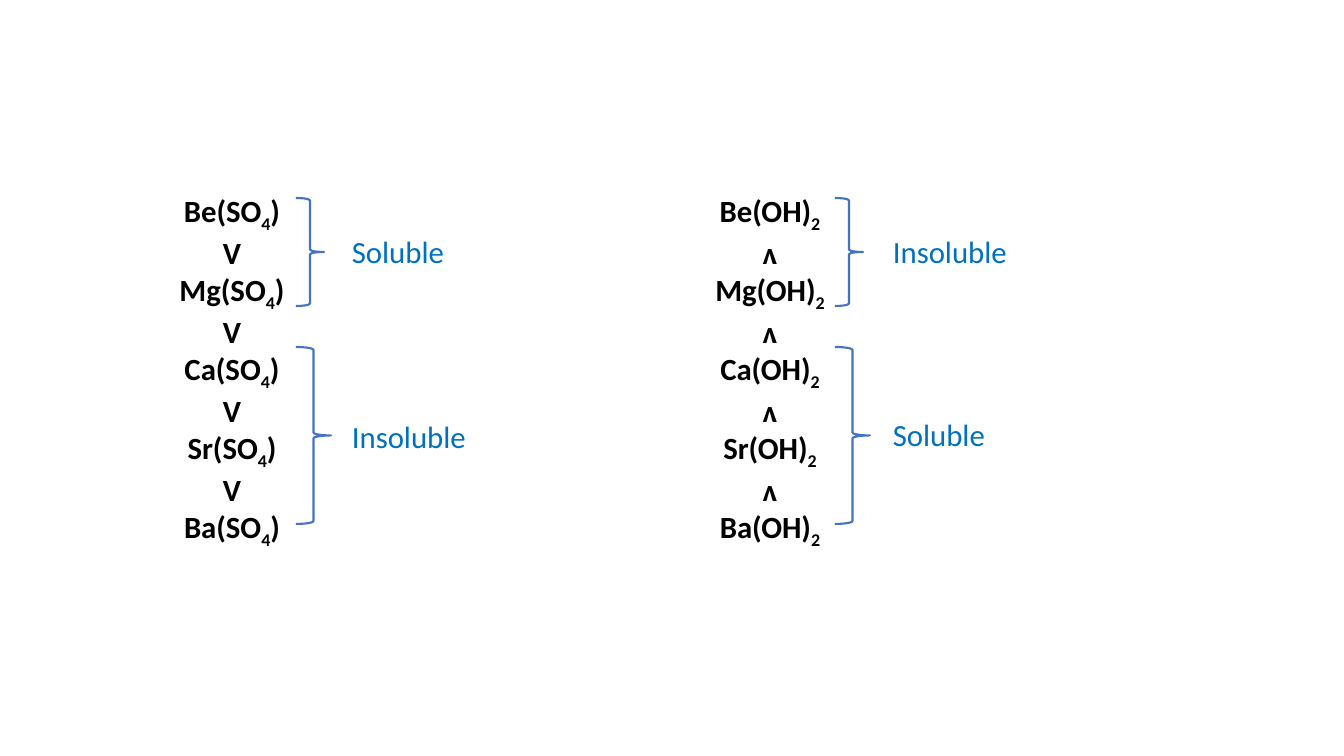
import pptx
import pptx.util
import pptx.dml.color
import pptx.enum.shapes
import pptx.enum.text

METALS = ["Be", "Mg", "Ca", "Sr", "Ba"]
SERIES = [
    {"left": 97, "brace_left": 296, "label_left": 342,
     "anion": ("(SO", "4", ")"), "relation": "V",
     "labels": [("Soluble", 228, 130), ("Insoluble", 413, 144)]},
    {"left": 635, "brace_left": 835, "label_left": 883,
     "anion": ("(OH)", "2", ""), "relation": "ᴧ",
     "labels": [("Insoluble", 228, 144), ("Soluble", 411, 130)]},
]
BRACES = [(198, 28, 108), (347, 35, 177)]
FORMULA_TOP, FORMULA_WIDTH, FORMULA_HEIGHT = 187, 270, 346
LABEL_HEIGHT = 47
FORMULA_FONT = {"name": "Calibri", "size": pptx.util.Pt(22), "bold": True}
LABEL_FONT = {"name": "Calibri", "size": pptx.util.Pt(22), "bold": False}


def px(length):
    return pptx.util.Emu(round(length * 914400 / 100.8))


def color(value):
    return pptx.dml.color.RGBColor.from_string(value)


def add_span(para, text, font, ink, subscript=False):
    span = para.add_run()
    span.text = text
    for name, value in font.items():
        setattr(span.font, name, value)
    span.font.color.rgb = color(ink)
    if subscript:
        span._r.get_or_add_rPr().set("baseline", "-25000")


def add_box(page, left, top, width, height):
    box = page.shapes.add_textbox(*map(px, (left, top, width, height)))
    box.text_frame.word_wrap = True
    box.text_frame.auto_size = pptx.enum.text.MSO_AUTO_SIZE.SHAPE_TO_FIT_TEXT
    return box.text_frame


def add_formulas(page, series):
    frame = add_box(page, series["left"], FORMULA_TOP, FORMULA_WIDTH, FORMULA_HEIGHT)
    opening, count, closing = series["anion"]
    lines = []
    for metal in METALS:
        if lines:
            lines.append([(series["relation"], False)])
        lines.append([(metal + opening, False), (count, True), (closing, False)])
    for index, line in enumerate(lines):
        para = frame.add_paragraph() if index else frame.paragraphs[0]
        para.alignment = pptx.enum.text.PP_ALIGN.CENTER
        for text, subscript in line:
            if text:
                add_span(para, text, FORMULA_FONT, "000000", subscript)


def add_brace(page, left, top, width, height):
    brace = page.shapes.add_shape(
        pptx.enum.shapes.MSO_SHAPE.RIGHT_BRACE, *map(px, (left, top, width, height)))
    brace.shadow.inherit = False
    brace.fill.background()
    brace.line.color.rgb = color("4472C4")
    brace.line.width = pptx.util.Pt(1.5)


def main():
    """Build the slide on sulfate and hydroxide solubility."""
    deck = pptx.Presentation()
    deck.slide_width, deck.slide_height = px(1344), px(756)
    page = deck.slides.add_slide(deck.slide_layouts[6])
    for series in SERIES:
        add_formulas(page, series)
        for top, width, height in BRACES:
            add_brace(page, series["brace_left"], top, width, height)
        for text, top, width in series["labels"]:
            frame = add_box(page, series["label_left"], top, width, LABEL_HEIGHT)
            add_span(frame.paragraphs[0], text, LABEL_FONT, "0070C0")
    deck.save("out.pptx")


if __name__ == "__main__":
    main()
